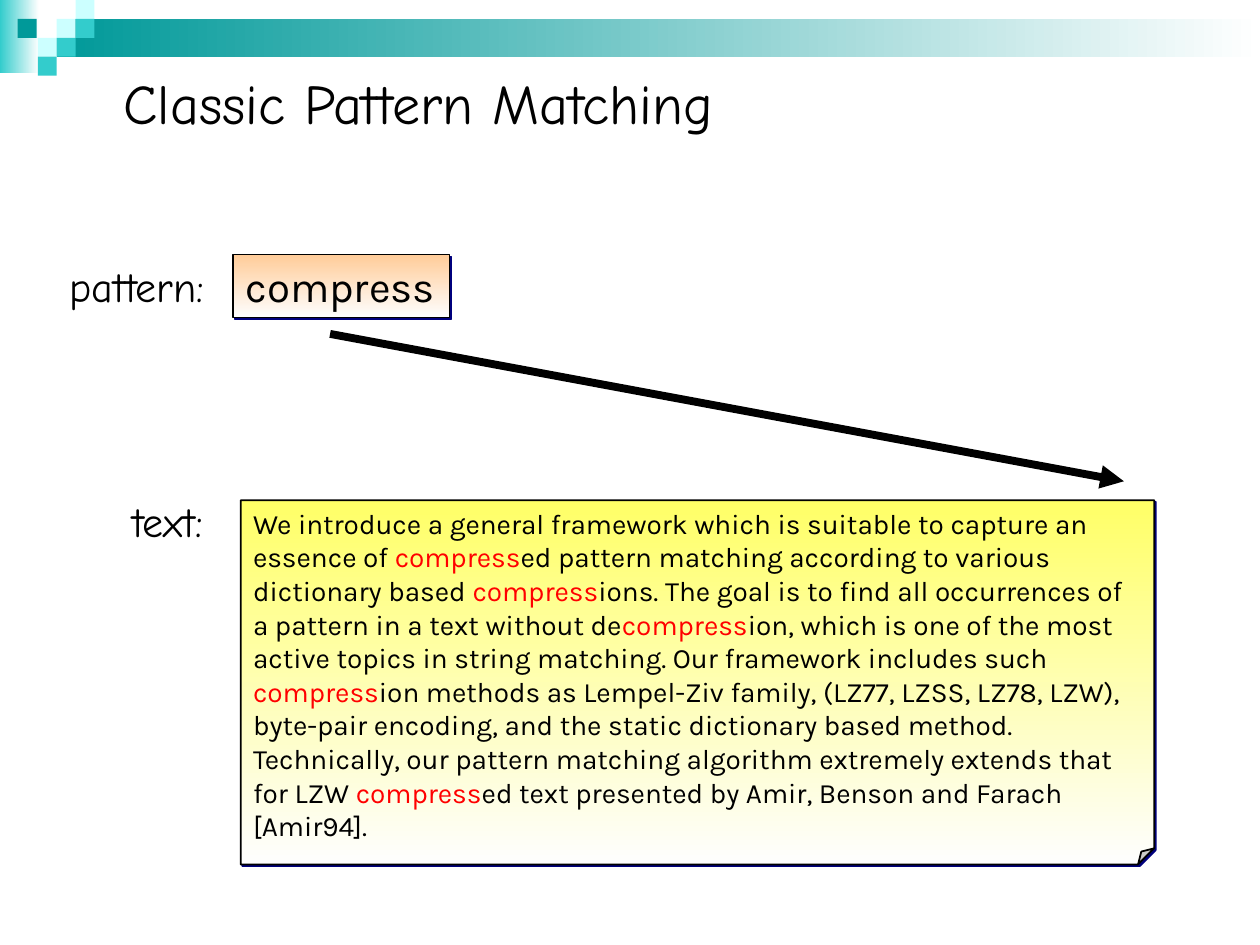
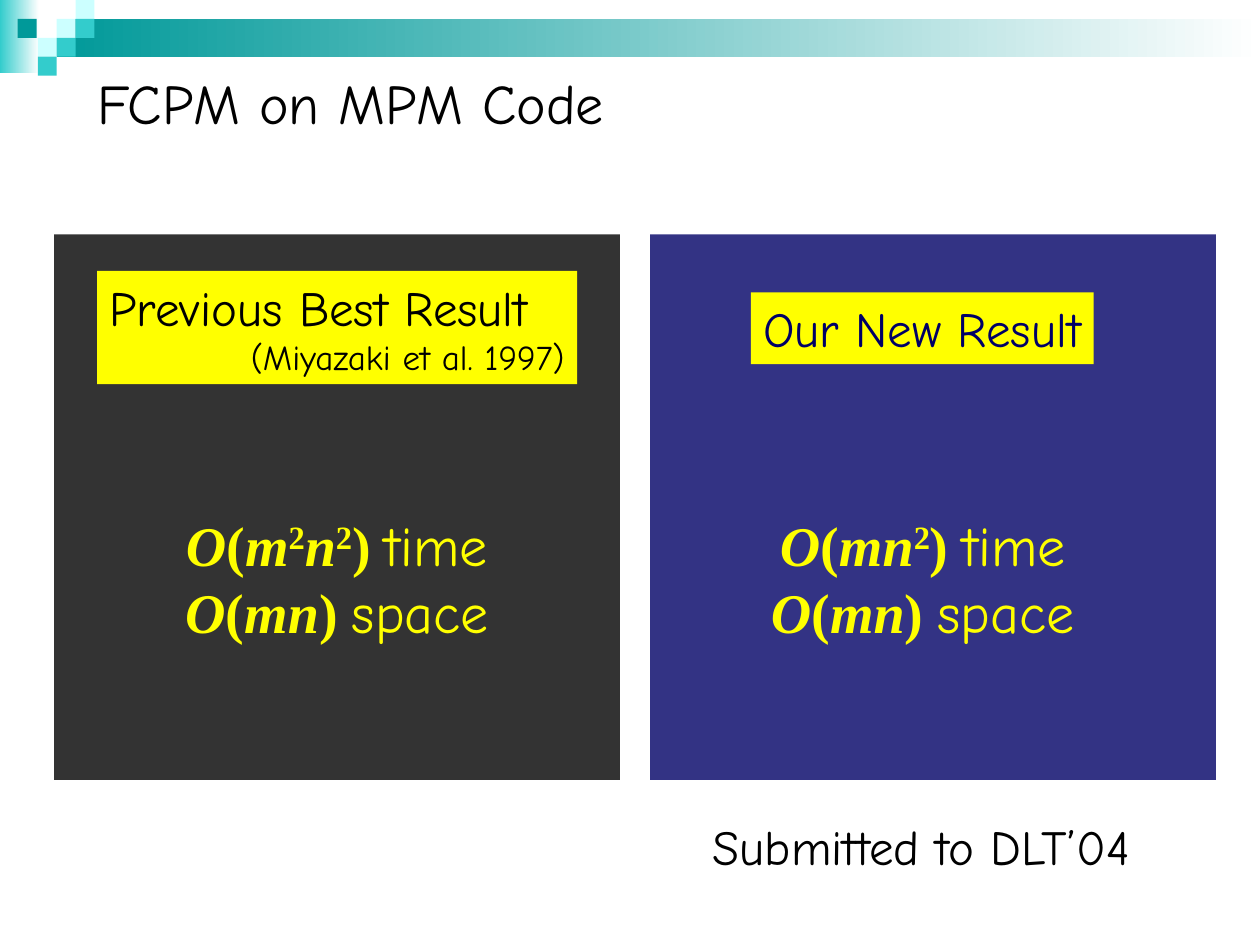
from itertools import groupby

from lxml.etree import SubElement
from pptx import Presentation
from pptx.dml.color import RGBColor
from pptx.enum.shapes import MSO_CONNECTOR, MSO_SHAPE
from pptx.enum.text import MSO_ANCHOR, MSO_AUTO_SIZE, PP_ALIGN
from pptx.oxml.ns import qn
from pptx.util import Inches, Pt

HAND, PLAIN, MATH = "Comic Neue", "Karla", "Times New Roman"
BLACK, WHITE, RED, YELLOW, NAVY = "000000", "FFFFFF", "FF0000", "FFFF00", "000066"
TEAL, AQUA, PALE = "009999", "33CCCC", "CCFFFF"
PAPER, SHADOW = "FEFEFE", "00007D"
LEFTWARD, DOWNWARD = 180, 270

PATTERN = "compress"
ABSTRACT = (
    "We introduce a general framework which is suitable to capture an essence of "
    "compressed pattern matching according to various dictionary based compressions. "
    "The goal is to find all occurrences of a pattern in a text without decompression, "
    "which is one of the most active topics in string matching. Our framework includes "
    "such compression methods as Lempel-Ziv family, (LZ77, LZSS, LZ78, LZW), byte-pair "
    "encoding, and the static dictionary based method. Technically, our pattern matching "
    "algorithm extremely extends that for LZW compressed text presented by Amir, Benson "
    "and Farach [Amir94]."
)


def rgb(color):
    return RGBColor.from_string(color)


def inches(box):
    return [Inches(length) for length in box]


# Fills, fonts and shapes
def set_font(font, size, face=HAND, color=BLACK):
    font.size, font.name = Pt(size), face
    font.color.rgb = rgb(color)


def add_block(shapes, box, color, kind=MSO_SHAPE.RECTANGLE):
    block = shapes.add_shape(kind, *inches(box))
    block.shadow.inherit = False
    block.line.fill.background()
    block.fill.solid()
    block.fill.fore_color.rgb = rgb(color)
    return block


def set_gradient(block, start, end, angle):
    block.fill.gradient()
    block.fill.gradient_angle = angle
    for stop, color in zip(block.fill.gradient_stops, (start, end)):
        stop.color.rgb = rgb(color)


def add_card(shapes, box, color, line_width, kind=MSO_SHAPE.RECTANGLE):
    """Outlined gradient card with a hard navy shadow."""
    card = add_block(shapes, box, color, kind)
    set_gradient(card, color, PAPER, DOWNWARD)
    card.line.color.rgb = rgb(BLACK)
    card.line.width = Pt(line_width)
    effects = card.element.spPr.find(qn("a:effectLst"))
    shadow = SubElement(effects, qn("a:outerShdw"), blurRad="0",
                        dist=str(Pt(1.4)), dir="2700000", rotWithShape="0")
    SubElement(shadow, qn("a:srgbClr"), val=SHADOW)
    return card


# Text
def start_text(shape, wrap=False):
    frame = shape.text_frame
    frame.word_wrap = wrap
    frame.auto_size = MSO_AUTO_SIZE.NONE
    frame.vertical_anchor = MSO_ANCHOR.TOP
    frame.margin_left = frame.margin_right = Inches(0.1)
    frame.margin_top = frame.margin_bottom = Inches(0.05)
    return frame


def write(shape, text, size, face=HAND, color=BLACK):
    paragraph = start_text(shape).paragraphs[0]
    paragraph.text = text
    paragraph.alignment = PP_ALIGN.LEFT
    set_font(paragraph.font, size, face, color)


def add_label(slide, box, text, size):
    write(slide.shapes.add_textbox(*inches(box)), text, size)


def add_title_slide(prs, title, left, width):
    slide = prs.slides.add_slide(prs.slide_layouts.get_by_name("Title Only"))
    heading = slide.shapes.title
    heading.left, heading.top, heading.width, heading.height = inches(
        (left, 0.49, width, 0.64))
    write(heading, title, 32)
    return slide


def write_highlighted(shape, text, word):
    paragraph = start_text(shape, wrap=True).paragraphs[0]
    paragraph.alignment = PP_ALIGN.LEFT
    set_font(paragraph.font, 16, PLAIN)
    for index, part in enumerate(text.split(word)):
        if index:
            match = paragraph.add_run()
            match.text = word
            match.font.color.rgb = rgb(RED)
        paragraph.add_run().text = part


def write_bound(paragraph, formula, resource):
    """Letters become italic, digits become exponents."""
    paragraph.alignment = PP_ALIGN.CENTER
    set_font(paragraph.font, 32, MATH, YELLOW)
    for (is_letter, is_exponent), chars in groupby(
            formula + " ", lambda char: (char.isalpha(), char.isdigit())):
        run = paragraph.add_run()
        run.text = "".join(chars)
        run.font.bold, run.font.italic = True, is_letter
        if is_exponent:
            run.font._element.set("baseline", "30000")
    word = paragraph.add_run()
    word.text = resource
    word.font.name = HAND


# Band and mosaic shared by all slides
def decorate_master(prs, slide):
    fade = add_block(slide.shapes, (0, 0, 0.31, 0.58), AQUA)
    set_gradient(fade, WHITE, AQUA, LEFTWARD)
    band = add_block(slide.shapes, (0.45, 0.15, 9.55, 0.3), TEAL)
    set_gradient(band, WHITE, TEAL, LEFTWARD)
    side = 0.15
    tiles = [(0.45, 0.15, PALE), (0.6, 0, PALE), (0.6, 0.15, AQUA), (0.3, 0.3, PALE),
             (0.14, 0.15, TEAL), (0.45, 0.3, AQUA), (0.3, 0.45, AQUA)]
    mosaic = [add_block(slide.shapes, (left, top, side, side), color)
              for left, top, color in tiles]
    for part in [fade, band, *mosaic]:
        prs.slide_master.shapes.element.append(part.element)


def add_arrow(slide, start, end):
    arrow = slide.shapes.add_connector(MSO_CONNECTOR.STRAIGHT, *inches(start + end))
    arrow.line.color.rgb = rgb(BLACK)
    arrow.line.width = Pt(4.5)
    properties = arrow.element.spPr
    SubElement(properties.find(qn("a:ln")), qn("a:tailEnd"), type="triangle")
    SubElement(properties, qn("a:effectLst"))


def add_result_panel(slide, left, color, bounds_left, bounds, tag_box):
    """Tinted panel with complexity bounds; returns its yellow tag."""
    shapes = slide.shapes.add_group_shape().shapes
    panel = add_block(shapes, (left, 1.86, 4.49, 4.33), color)
    tint = panel.element.spPr.find(qn("a:solidFill")).find(qn("a:srgbClr"))
    SubElement(tint, qn("a:alpha"), val="80000")
    frame = start_text(shapes.add_textbox(*inches((bounds_left, 4, 3.23, 1.17))), wrap=True)
    for index, (formula, resource) in enumerate(bounds):
        line = frame.add_paragraph() if index else frame.paragraphs[0]
        write_bound(line, formula, resource)
    return add_block(shapes, tag_box, YELLOW)


def build_matching(slide):
    abstract = add_card(slide.shapes, (1.91, 3.97, 7.25, 2.89), "FFFF66", 1,
                        MSO_SHAPE.FOLDED_CORNER)
    fold = abstract.element.spPr.find(qn("a:prstGeom")).find(qn("a:avLst"))
    SubElement(fold, qn("a:gd"), name="adj", fmla="val 4400")
    write_highlighted(abstract, ABSTRACT, PATTERN)
    pattern = add_card(slide.shapes, (1.85, 2.02, 1.72, 0.5), "FFCC99", 0.75)
    write(pattern, PATTERN, 24, PLAIN)
    add_arrow(slide, (2.62, 2.65), (8.92, 3.82))
    add_label(slide, (0.45, 2.02, 1.28, 0.5), "pattern:", 24)
    add_label(slide, (0.95, 3.88, 0.77, 0.5), "text:", 24)


def build_results(slide):
    previous = add_result_panel(slide, 0.43, BLACK, 1.06,
                                [("O(m2n2)", "time"), ("O(mn)", "space")],
                                (0.77, 2.15, 3.81, 0.9))
    write(previous, "Previous Best Result", 28)
    citation = previous.text_frame.add_paragraph()
    citation.text = "(Miyazaki et al. 1997)"
    citation.alignment = PP_ALIGN.RIGHT
    set_font(citation.font, 20)

    ours = add_result_panel(slide, 5.16, NAVY, 5.71,
                            [("O(mn2)", "time"), ("O(mn)", "space")],
                            (5.96, 2.32, 2.72, 0.57))
    write(ours, "Our New Result", 28, color=NAVY)
    add_label(slide, (5.56, 6.43, 3.56, 0.57), "Submitted to DLT’04", 28)


def main():
    prs = Presentation()
    prs.slide_width, prs.slide_height = Inches(10), Inches(7.5)
    matching = add_title_slide(prs, "Classic Pattern Matching", 0.88, 4.93)
    decorate_master(prs, matching)
    build_matching(matching)
    build_results(add_title_slide(prs, "FCPM on MPM Code", 0.67, 4.24))
    prs.save("out.pptx")


if __name__ == "__main__":
    main()
